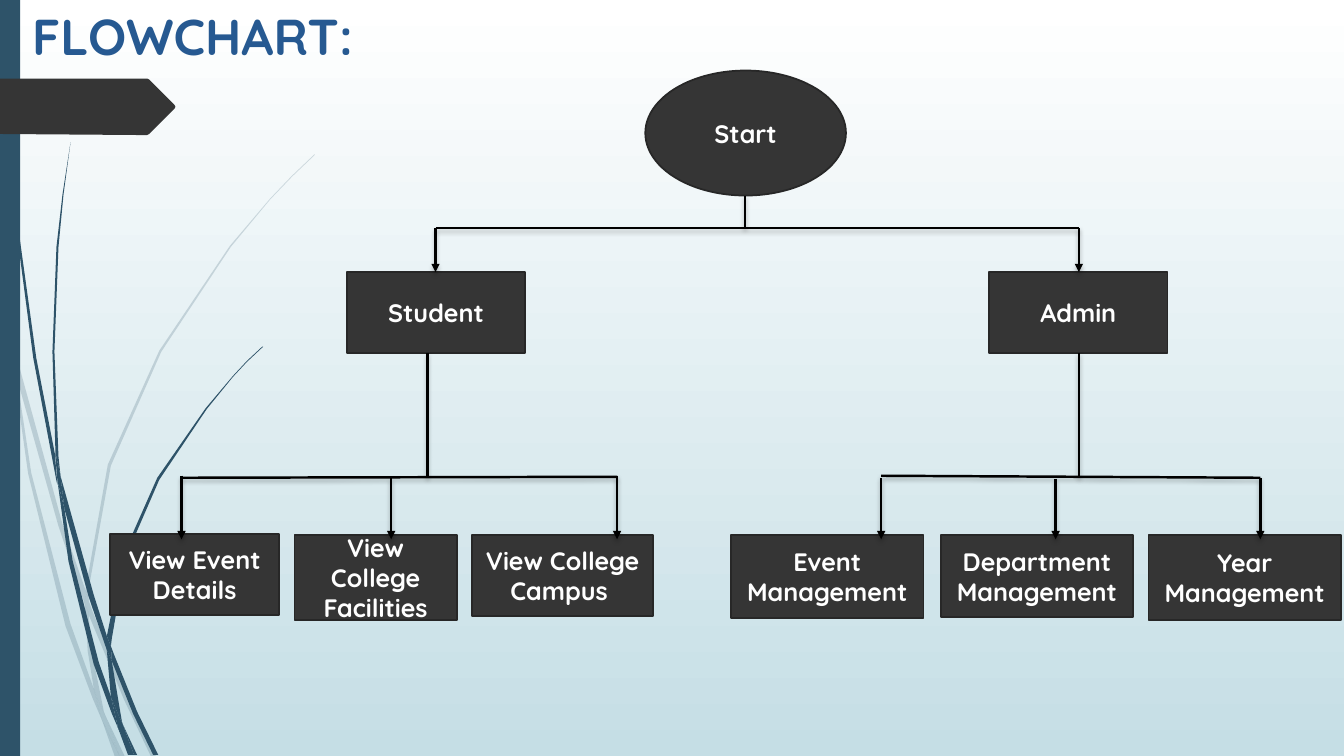
from typing import NamedTuple

from lxml import etree
from pptx import Presentation
from pptx.dml.color import RGBColor
from pptx.enum.shapes import MSO_CONNECTOR, MSO_SHAPE
from pptx.enum.text import MSO_ANCHOR, PP_ALIGN
from pptx.oxml.ns import qn
from pptx.util import Inches, Pt

LINE = MSO_CONNECTOR.STRAIGHT
RECT = MSO_SHAPE.RECTANGLE
OVAL = MSO_SHAPE.OVAL
TOP = MSO_ANCHOR.TOP
MIDDLE = MSO_ANCHOR.MIDDLE
LEFT = PP_ALIGN.LEFT
CENTER = PP_ALIGN.CENTER

COLS, ROWS = 1333, 750
CELL = Inches(13.33) / COLS
FONT = "Quicksand"
HUES = {
    "sky": "FFFFFF",
    "mist": "C5DEE5",
    "reed": "2E5369",
    "title": "265991",
    "box": "353535",
    "edge": "272727",
    "text": "FFFFFF",
    "wire": "000000",
}

Point = tuple[int, int]


class Box(NamedTuple):
    text: str
    col: int
    row: int
    wide: int
    high: int
    kind: int = RECT


class Wire(NamedTuple):
    start: Point
    end: Point
    arrow: bool = False


class Clump(NamedTuple):
    alpha: int
    reeds: tuple[tuple[Point, ...], ...]


PALE = Clump(20, (
    ((11, 350), (9, 322), (0, 282), (0, 299), (10, 344)),
    ((58, 522), (84, 599), (85, 586), (62, 520), (14, 345), (17, 376)),
    ((92, 607), (88, 596), (88, 610), (123, 694), (150, 751), (155, 751), (127, 692)),
    ((119, 751), (124, 751), (105, 711)),
    ((93, 683), (70, 619), (31, 469), (17, 376), (11, 350), (28, 470), (65, 621),
     (92, 693), (101, 714), (99, 707)),
    ((84, 599), (87, 646), (93, 683), (96, 692), (105, 711), (103, 706), (91, 646),
     (88, 610), (88, 608)),
    ((88, 584), (110, 462), (160, 349), (229, 245), (268, 198), (290, 175), (312, 154),
     (312, 153), (289, 175), (268, 197), (228, 244), (158, 348), (107, 461), (85, 584),
     (85, 586), (88, 596)),
    ((101, 714), (114, 751), (119, 751)),
    ((88, 608), (88, 610), (88, 596), (85, 586), (84, 599)),
    ((96, 692), (93, 683), (99, 707), (101, 714), (119, 751), (105, 711)),
))
DARK = Clump(100, (
    ((7, 110), (17, 233), (33, 355), (56, 477), (57, 481), (55, 457), (55, 453),
     (36, 355), (19, 232), (8, 109), (5, 48), (4, 0), (3, 0), (4, 48)),
    ((88, 592), (106, 645), (106, 633), (106, 631), (93, 590), (60, 472), (64, 505)),
    ((113, 649), (110, 641), (111, 656), (132, 708), (152, 749), (157, 749), (136, 706)),
    ((110, 691), (98, 657), (72, 556), (64, 505), (57, 477), (68, 557), (93, 659),
     (111, 708), (117, 722), (116, 717)),
    ((60, 472), (58, 453), (54, 349), (58, 245), (63, 193), (70, 141), (62, 193),
     (56, 245), (52, 349), (55, 449)),
    ((133, 749), (136, 749), (122, 719)),
    ((57, 477), (64, 505), (60, 472), (55, 449), (55, 453)),
    ((111, 633), (125, 552), (158, 476), (205, 406), (231, 374), (245, 359), (261, 344),
     (260, 344), (245, 358), (231, 373), (204, 405), (156, 474), (122, 551), (106, 631),
     (110, 641)),
    ((117, 722), (127, 749), (131, 749)),
    ((106, 645), (110, 691), (116, 706), (122, 719), (121, 716), (111, 656), (109, 651)),
    ((106, 645), (109, 651), (111, 656), (110, 641), (106, 631), (106, 633)),
    ((116, 706), (110, 691), (116, 717), (117, 722), (130, 749), (133, 749), (122, 719)),
))
TAG = ((0, 78), (146, 78), (148, 79), (173, 104), (174, 106), (173, 108), (148, 133),
       (146, 134), (136, 134), (0, 133))
BOXES = (
    Box("Start", 640, 70, 199, 124, OVAL),
    Box("Student", 344, 270, 177, 80),
    Box("Admin", 981, 270, 177, 80),
    Box("View Event Details", 109, 530, 168, 80),
    Box("View College Facilities", 292, 531, 161, 84),
    Box("View College Campus ", 468, 531, 180, 80),
    Box("Event Management", 725, 531, 191, 82),
    Box("Year Management", 1139, 531, 191, 84),
    Box("Department Management", 933, 531, 191, 81),
)
WIRES = (
    Wire((432, 226), (1070, 226)),
    Wire((739, 194), (739, 226)),
    *(Wire((col, 226), (col, 270), True) for col in (432, 1070)),
    Wire((180, 474), (612, 473)),
    Wire((874, 472), (1250, 474)),
    *(Wire((col, row), (col, 535), True) for col, row in (
        (180, 472), (388, 474), (612, 472), (874, 474), (1250, 474), (1047, 475))),
    *(Wire((col, 350), (col, 474)) for col in (424, 1070)),
)


def span(cells: float) -> int:
    return round(cells * CELL)


def hue(name: str) -> RGBColor:
    return RGBColor.from_string(HUES[name])


def paint(shape, name: str, alpha: int = 100) -> None:
    shape.shadow.inherit = False
    shape.line.fill.background()
    shape.fill.solid()
    shape.fill.fore_color.rgb = hue(name)
    if alpha < 100:
        tint = shape.fill._xPr.find(".//" + qn("a:srgbClr"))
        etree.SubElement(tint, qn("a:alpha"), val=str(alpha * 1000))


def write(shape, text: str, size: int, name: str, align: int, anchor: int) -> None:
    frame = shape.text_frame
    frame.word_wrap = True
    frame.vertical_anchor = anchor
    frame.text = text
    line = frame.paragraphs[0]
    line.alignment = align
    font = line.runs[0].font
    font.name, font.size, font.bold = FONT, Pt(size), True
    font.color.rgb = hue(name)


def draw_form(shapes, points: tuple[Point, ...], name: str, alpha: int = 100) -> None:
    form = shapes.build_freeform(*points[0], scale=CELL)
    form.add_line_segments(points[1:], close=True)
    paint(form.convert_to_shape(), name, alpha)


def draw_clump(shapes, clump: Clump) -> None:
    group = shapes.add_group_shape()
    for reed in clump.reeds:
        draw_form(group.shapes, reed, "reed", clump.alpha)


def draw_box(shapes, box: Box) -> None:
    shape = shapes.add_shape(box.kind, *map(span, (box.col, box.row, box.wide, box.high)))
    paint(shape, "box")
    shape.line.color.rgb = hue("edge")
    shape.line.width = Pt(1.25)
    write(shape, box.text, 18, "text", CENTER, MIDDLE)


def draw_wire(shapes, wire: Wire) -> None:
    link = shapes.add_connector(LINE, *map(span, wire.start + wire.end))
    link.line.color.rgb = hue("wire")
    link.line.width = Pt(1.75)
    if wire.arrow:
        etree.SubElement(link.line._get_or_add_ln(), qn("a:tailEnd"), type="triangle")
    glow = etree.SubElement(link._element.spPr, qn("a:effectLst"))
    shade = etree.SubElement(glow, qn("a:outerShdw"), blurRad=str(Pt(3)),
                             dist=str(Pt(2)), dir="5400000", rotWithShape="0")
    tint = etree.SubElement(shade, qn("a:srgbClr"), val=HUES["wire"])
    etree.SubElement(tint, qn("a:alpha"), val="25000")


def main() -> None:
    deck = Presentation()
    deck.slide_width, deck.slide_height = span(COLS), span(ROWS)
    slide = deck.slides.add_slide(deck.slide_layouts[6])
    shapes = slide.shapes

    back = slide.background.fill
    back.gradient()
    back.gradient_angle = 270
    for stop, name in zip(back.gradient_stops, ("sky", "mist")):
        stop.color.rgb = hue(name)

    for clump in (PALE, DARK):
        draw_clump(shapes, clump)
    paint(shapes.add_shape(RECT, 0, 0, span(20), span(ROWS)), "reed")
    draw_form(shapes, TAG, "box")
    title = shapes.add_textbox(span(22), 0, span(975), span(140))
    write(title, "FLOWCHART:", 36, "title", LEFT, TOP)
    for box in BOXES:
        draw_box(shapes, box)
    for wire in WIRES:
        draw_wire(shapes, wire)
    deck.save("out.pptx")


if __name__ == "__main__":
    main()
